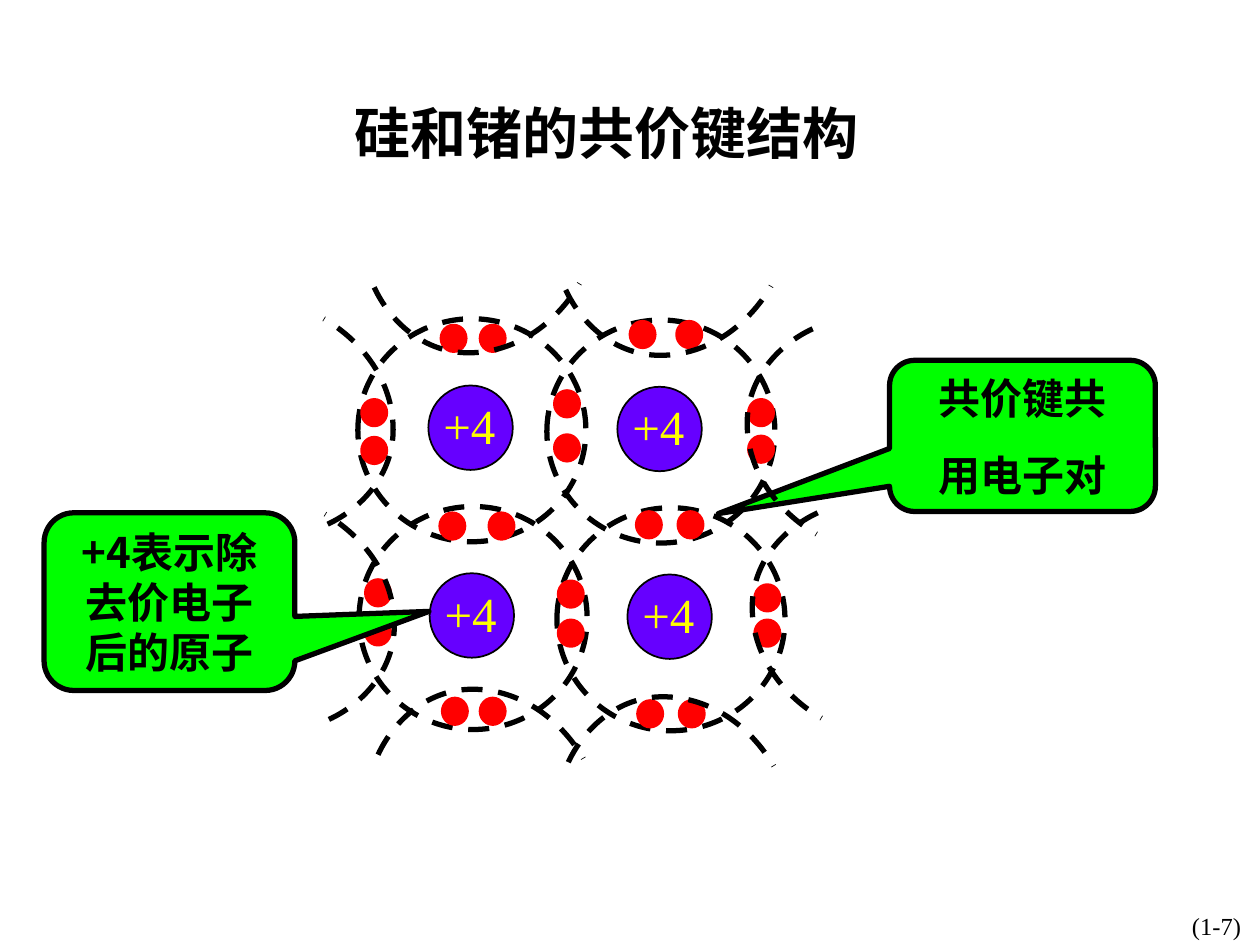
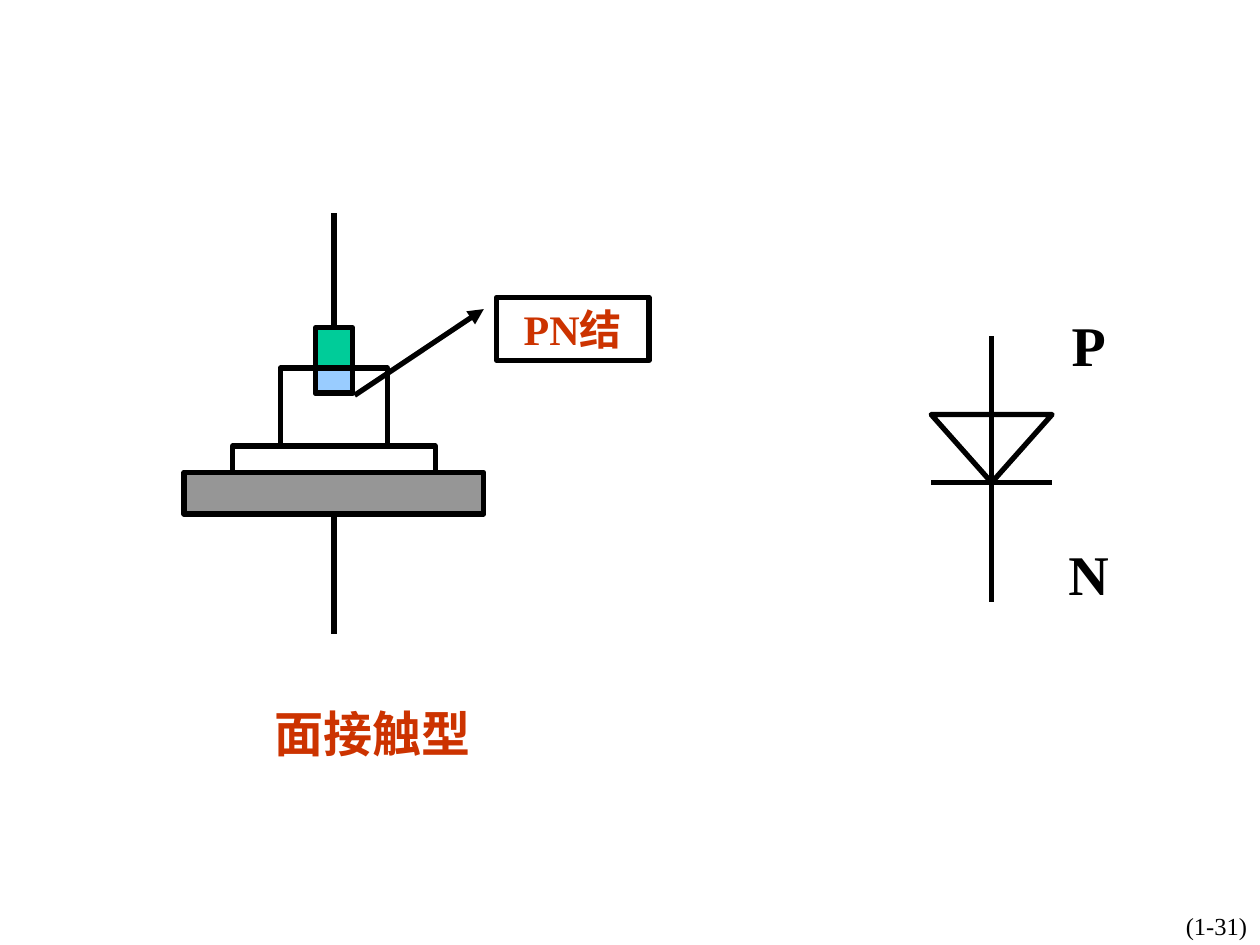
"""Build two slides on covalent bonds and the surface-contact diode."""
from lxml.etree import SubElement
from pptx import Presentation
from pptx.dml.color import RGBColor
from pptx.enum.dml import MSO_LINE
from pptx.enum.shapes import MSO_CONNECTOR, MSO_SHAPE as SHAPE
from pptx.enum.text import MSO_ANCHOR as ANCHOR, MSO_AUTO_SIZE, PP_ALIGN as ALIGN
from pptx.oxml.ns import qn
from pptx.util import Inches, Pt

BLACK = RGBColor(0x00, 0x00, 0x00)
RED = RGBColor(0xFF, 0x00, 0x00)
VIOLET = RGBColor(0x66, 0x00, 0xFF)
YELLOW = RGBColor(0xFF, 0xFF, 0x00)
LIME = RGBColor(0x00, 0xFF, 0x00)
RUST = RGBColor(0xCC, 0x33, 0x00)
GRAY = RGBColor(0x96, 0x96, 0x96)
TEAL = RGBColor(0x00, 0xCC, 0x99)
SKY = RGBColor(0x99, 0xCC, 0xFF)
LATIN_FONT = "Times New Roman"
CHINESE_FONT = "Noto Sans CJK SC"
STROKE = 3


def draw(page, kind, frame, fill=None, line=BLACK, width=STROKE, adjust=()):
    shape = page.shapes.add_shape(kind, *map(Inches, frame))
    shape.shadow.inherit = False
    if fill is None:
        shape.fill.background()
    else:
        shape.fill.solid()
        shape.fill.fore_color.rgb = fill
    shape.line.color.rgb = line
    shape.line.width = Pt(width)
    for index, value in enumerate(adjust):
        shape.adjustments[index] = value
    return shape


def write(box, text, size, color=BLACK, bold=True, align=ALIGN.CENTER,
          anchor=ANCHOR.MIDDLE, font=LATIN_FONT):
    frame = box.text_frame
    frame.text = text
    frame.word_wrap = True
    frame.auto_size = MSO_AUTO_SIZE.NONE
    frame.vertical_anchor = anchor
    for index, para in enumerate(frame.paragraphs):
        para.alignment = align
        para.space_before = Pt(15 if index else 0)
        for span in para.runs:
            span.font.size = Pt(size)
            span.font.bold = bold
            span.font.color.rgb = color
            span.font.name = font
            SubElement(span.font._element, qn("a:ea"), typeface=CHINESE_FONT)


deck = Presentation()
deck.slide_width, deck.slide_height = Inches(10), Inches(7.5)
crystal = deck.slides.add_slide(deck.slide_layouts[5])
diode = deck.slides.add_slide(deck.slide_layouts[6])

for page, number in ((crystal, "(1-7)"), (diode, "(1-31)")):
    box = page.shapes.add_textbox(*map(Inches, (8.69, 7.18, 1.93, 0.33)))
    write(box, number, 14, bold=False)

title = crystal.shapes.title
title.left, title.top, title.width, title.height = map(Inches, (2.71, 0.73, 4.67, 0.64))
write(title, "硅和锗的共价键结构", 32, align=ALIGN.LEFT, anchor=ANCHOR.TOP)

pair_note = draw(crystal, SHAPE.ROUNDED_RECTANGULAR_CALLOUT, (7.06, 2.86, 2.11, 1.2), LIME,
                 adjust=(-1.144, 0.514))
write(pair_note, "共价键共\n用电子对", 24)

ATOM_SIZE = 0.67
ORBIT_WIDTH, ORBIT_HEIGHT = 1.81, 1.77
atoms = [(3.4, 3.06), (4.9, 3.07), (3.41, 4.55), (4.98, 4.56)]
for left, top in atoms:
    draw(crystal, SHAPE.OVAL, (left, top, ATOM_SIZE, ATOM_SIZE), VIOLET, width=1)
    orbit_left = left + (ATOM_SIZE - ORBIT_WIDTH) / 2 + 0.01
    orbit_top = top + (ATOM_SIZE - ORBIT_HEIGHT) / 2 + 0.02
    orbit = draw(crystal, SHAPE.OVAL, (orbit_left, orbit_top, ORBIT_WIDTH, ORBIT_HEIGHT))
    orbit.line.dash_style = MSO_LINE.DASH

ELECTRON_WIDTH, ELECTRON_HEIGHT = 0.18, 0.19
side_bonds = [(2.88, 3.18, 0.3), (4.41, 3.11, 0.35), (5.95, 3.18, 0.29),
              (2.91, 4.61, 0.31), (4.44, 4.62, 0.31), (6, 4.65, 0.28)]
level_bonds = [(3.51, 2.59, 0.31), (5.01, 2.56, 0.37), (3.5, 4.08, 0.39),
               (5.06, 4.07, 0.33), (3.52, 5.55, 0.3), (5.07, 5.57, 0.33)]
for bonds, step_x, step_y in ((side_bonds, 0, 1), (level_bonds, 1, 0)):
    for left, top, gap in bonds:
        for shift in (0, gap):
            frame = (left + shift * step_x, top + shift * step_y,
                     ELECTRON_WIDTH, ELECTRON_HEIGHT)
            draw(crystal, SHAPE.OVAL, frame, RED, RED)

ARC_HEIGHT = 1.63
arc_start, arc_middle, arc_end = (0.53, 0), (0.01, 0.75), (0.56, ARC_HEIGHT)
upper_curve = [(0.25, 0.13), (0.01, 0.4), arc_middle]
lower_curve = [(0.01, 1.13), (0.25, 1.45), arc_end]
RIGHT, BOTTOM, LEFT, TOP = 0, 90, 180, 270
neighbour_arcs = {
    RIGHT: [(5.92, 2.61), (5.96, 4.07)],
    TOP: [(3.5, 1.71), (5.02, 1.73)],
    BOTTOM: [(3.53, 4.93), (5.04, 4.99)],
    LEFT: [(2.56, 2.53), (2.57, 4.08)],
}
for side, places in neighbour_arcs.items():
    for left, top in places:
        points = [(Inches(left + x), Inches(top + (ARC_HEIGHT - y if side == BOTTOM else y)))
                  for x, y in [arc_start, *upper_curve, *lower_curve]]
        builder = crystal.shapes.build_freeform(*points[0])
        builder.add_line_segments(points[1:], close=False)
        arc = builder.convert_to_shape()
        outline = next(arc.element.iter(qn("a:path")))
        segments = outline.findall(qn("a:lnTo"))
        for half in (segments[:3], segments[3:]):
            curve = SubElement(outline, qn("a:cubicBezTo"))
            for segment in half:
                curve.append(segment[0])
                outline.remove(segment)
        arc.rotation = side
        arc.shadow.inherit = False
        arc.fill.background()
        arc.line.color.rgb = BLACK
        arc.line.width = Pt(STROKE)
        arc.line.dash_style = MSO_LINE.DASH

for left, top in atoms:
    box = crystal.shapes.add_textbox(*map(Inches, (left + 0.02, top + 0.03, 0.77, 0.57)))
    write(box, "+4", 28, YELLOW, False, ALIGN.LEFT, ANCHOR.TOP)

atom_note = draw(crystal, SHAPE.ROUNDED_RECTANGULAR_CALLOUT, (0.35, 4.07, 1.99, 1.41), LIME,
                 adjust=(1.035, 0.055))
write(atom_note, "+4表示除去价电子后的原子", 24, font=CHINESE_FONT)

BODY_AXIS, SYMBOL_AXIS = 2.65, 7.87
ALLOY_TOP, CRYSTAL_TOP, PLATE_TOP, BASE_TOP, BASE_BOTTOM = 2.6, 2.92, 3.54, 3.75, 4.08
JUNCTION_BOTTOM = 3.12
body_layers = [
    (2.38, BASE_TOP, BASE_BOTTOM, GRAY),
    (1.61, PLATE_TOP, BASE_TOP, None),
    (0.85, CRYSTAL_TOP, PLATE_TOP, None),
    (0.29, ALLOY_TOP, JUNCTION_BOTTOM, TEAL),
    (0.29, CRYSTAL_TOP, JUNCTION_BOTTOM, SKY),
]
for width, top, bottom, fill in body_layers:
    draw(diode, SHAPE.RECTANGLE, (BODY_AXIS - width / 2, top, width, bottom - top), fill)

junction_note = draw(diode, SHAPE.LINE_CALLOUT_1, (3.94, 2.36, 1.21, 0.5),
                     adjust=(0.188, -0.083, 1.556, -0.931))
SubElement(junction_note.line._get_or_add_ln(), qn("a:headEnd"), type="triangle")
write(junction_note, "PN结", 24, RUST)

SYMBOL_WIDTH, SYMBOL_TOP, CATHODE = 0.96, 3.29, 3.83
symbol_left = SYMBOL_AXIS - SYMBOL_WIDTH / 2
triangle = draw(diode, SHAPE.ISOSCELES_TRIANGLE,
                (symbol_left, SYMBOL_TOP, SYMBOL_WIDTH, CATHODE - SYMBOL_TOP))
triangle.rotation = 180

upper_lead = (BODY_AXIS, ALLOY_TOP, BODY_AXIS, 1.69)
lower_lead = (BODY_AXIS, BASE_BOTTOM, BODY_AXIS, 5.03)
cathode_bar = (symbol_left, CATHODE, symbol_left + SYMBOL_WIDTH, CATHODE)
symbol_lead = (SYMBOL_AXIS, 2.67, SYMBOL_AXIS, 4.78)
for ends in (upper_lead, lower_lead, cathode_bar, symbol_lead):
    wire = diode.shapes.add_connector(MSO_CONNECTOR.STRAIGHT, *map(Inches, ends))
    wire.line.color.rgb = BLACK
    wire.line.width = Pt(STROKE)
    SubElement(wire.element.spPr, qn("a:effectLst"))

caption = diode.shapes.add_textbox(*map(Inches, (2.08, 5.53, 2.08, 0.57)))
write(caption, "面接触型", 28, RUST, align=ALIGN.LEFT)
for terminal, top in (("P", 2.41), ("N", 4.23)):
    box = diode.shapes.add_textbox(*map(Inches, (8.35, top, 0.58, 0.64)))
    write(box, terminal, 32)

deck.save("out.pptx")
